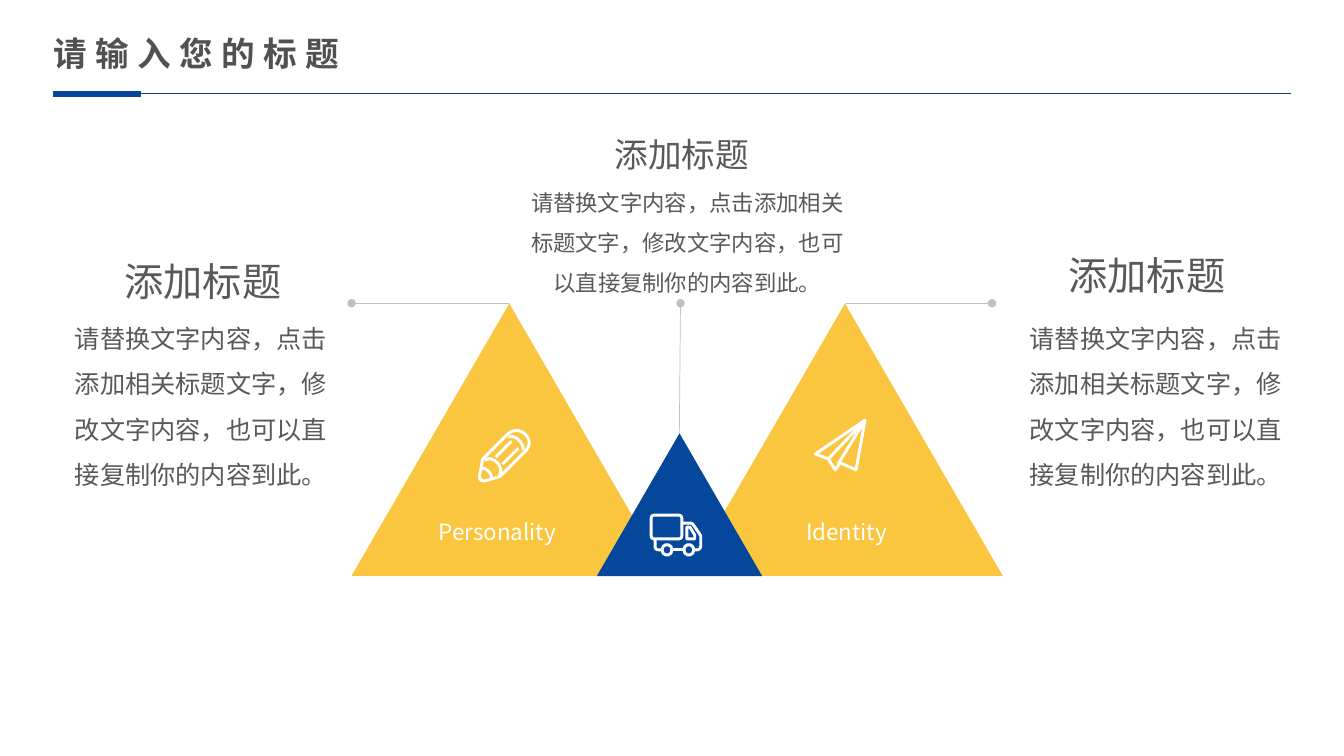
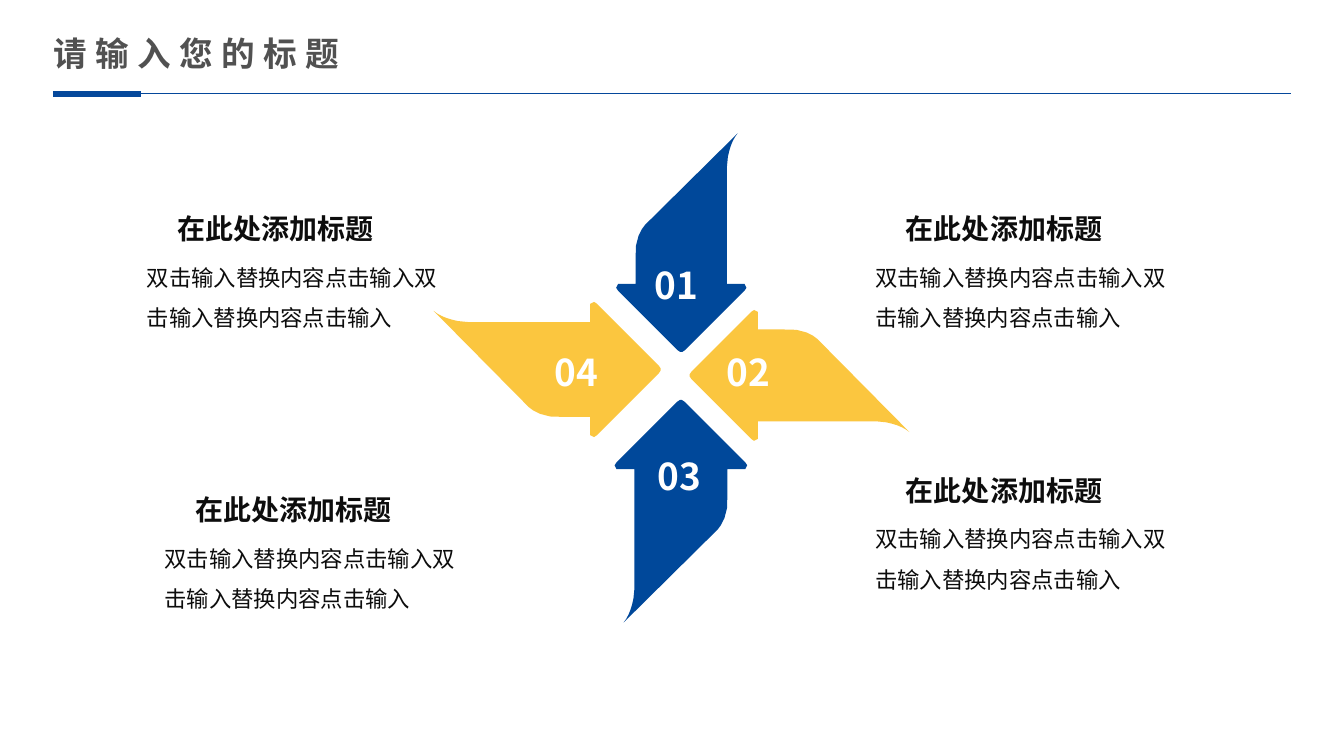
import lxml.etree
import pptx
import pptx.dml.color
import pptx.enum.shapes
import pptx.enum.text
import pptx.oxml.ns
import pptx.util

Cm = pptx.util.Cm
Pt = pptx.util.Pt
RGB = pptx.dml.color.RGBColor.from_string
qn = pptx.oxml.ns.qn
Align = pptx.enum.text.PP_ALIGN
Shape = pptx.enum.shapes.MSO_SHAPE

FONT = "Noto Sans CJK SC"
HUES = {
    "blue": "05489B",
    "deep": "00489A",
    "gold": "FBC63F",
    "white": "FFFFFF",
    "title": "515151",
    "text": "595959",
    "ink": "0D0D0D",
    "grey": "BFBFBF",
}


def write(slide, text, box, size=16, hue="text", bold=False, align=Align.LEFT,
          lead=None, wrap=True, track=0, shape=None):
    """Put text in the given shape, or in a new text box, at box in cm."""
    place = [Cm(v) for v in box]
    shape = shape or slide.shapes.add_textbox(*place)
    shape.left, shape.top, shape.width, shape.height = place
    frame = shape.text_frame
    frame.word_wrap = wrap
    frame.auto_size = pptx.enum.text.MSO_AUTO_SIZE.NONE
    frame.vertical_anchor = pptx.enum.text.MSO_ANCHOR.TOP
    para = frame.paragraphs[0]
    para.alignment = align
    if lead:
        para.line_spacing = lead
    run = para.add_run()
    run.text = text
    run.font.size = Pt(size)
    run.font.bold = bold
    run.font.name = FONT
    run.font.color.rgb = RGB(HUES[hue])
    props = run._r.get_or_add_rPr()
    lxml.etree.SubElement(props, qn("a:ea")).set("typeface", FONT)
    if track:
        props.set("spc", str(track * 100))


def draw(slide, parts, left, top, unit=1 / 40, turn=0, fill=None, line=None):
    """Draw one shape from (closed, steps) parts, turned by quarters.

    A step of two numbers is a point, one of six a cubic curve.
    """
    path = None
    for close, steps in parts:
        dots = []
        for step in steps:
            if len(step) == 2:
                dots.append(step)
                continue
            ends = [dots[-1], step[:2], step[2:4], step[4:]]
            for t in (0.2, 0.4, 0.6, 0.8, 1):
                s = 1 - t
                mix = [s ** 3, 3 * t * s * s, 3 * t * t * s, t ** 3]
                dots.append(tuple(sum(m * e[k] for m, e in zip(mix, ends))
                                  for k in (0, 1)))
        for _ in range(turn):
            dots = [(-y, x) for x, y in dots]
        dots = [(Cm(left + x * unit), Cm(top + y * unit)) for x, y in dots]
        if path:
            path.move_to(*dots[0])
        else:
            path = slide.shapes.build_freeform(*dots[0], scale=1.0)
        path.add_line_segments(dots[1:], close=close)
    shape = path.convert_to_shape()
    shape.shadow.inherit = False
    if fill:
        shape.fill.solid()
        shape.fill.fore_color.rgb = RGB(HUES[fill])
    else:
        shape.fill.background()
    if line:
        shape.line.color.rgb = RGB(HUES["white"])
        shape.line.width = Pt(line)
    else:
        shape.line.fill.background()


deck = pptx.Presentation()
deck.slide_width, deck.slide_height = Cm(33.87), Cm(19.05)
peaks, wheel = [deck.slides.add_slide(deck.slide_layouts[5]) for _ in range(2)]

# Titles, header rules and leader lines
rules = []
for slide in (peaks, wheel):
    write(slide, "请输入您的标题", (1.1, 0.71, 8.89, 1.27), size=24, hue="title",
          bold=True, track=6, shape=slide.shapes.title)
    rules += [
        (slide, 1.33, 2.36, 3.56, 2.36, "blue", 4.5),
        (slide, 3.56, 2.36, 32.54, 2.36, "blue", 0.5),
    ]
rules += [
    (peaks, 12.83, 7.64, 8.86, 7.64, "grey", 0.5),
    (peaks, 21.31, 7.64, 25, 7.64, "grey", 0.5),
    (peaks, 17.12, 10.92, 17.15, 7.64, "grey", 0.5),
]
for slide, x1, y1, x2, y2, hue, width in rules:
    rule = slide.shapes.add_connector(
        pptx.enum.shapes.MSO_CONNECTOR.STRAIGHT, Cm(x1), Cm(y1), Cm(x2), Cm(y2))
    rule.line.color.rgb = RGB(HUES[hue])
    rule.line.width = Pt(width)
    props = rule.element.spPr
    if hue == "grey":
        tail = lxml.etree.SubElement(props.find(qn("a:ln")), qn("a:tailEnd"))
        tail.set("type", "oval")
    lxml.etree.SubElement(props, qn("a:effectLst"))

# Slide 1: three peaks
for left, top, width, height, hue in [
    (8.86, 7.65, 7.95, 6.86, "gold"),
    (17.32, 7.65, 7.95, 6.86, "gold"),
    (15.04, 10.92, 4.17, 3.6, "blue"),
]:
    peak = peaks.shapes.add_shape(Shape.ISOSCELES_TRIANGLE, Cm(left), Cm(top),
                                  Cm(width), Cm(height))
    peak.shadow.inherit = False
    peak.fill.solid()
    peak.fill.fore_color.rgb = RGB(HUES[hue])
    peak.line.fill.background()

# Icons: one stroked shape each
pencil = [
    (True, [(5, 30), (31, 4), (36, 0, 43, 0, 48, 5), (53, 10, 53, 16, 49, 21),
            (24, 46), (21, 48), (7, 52), (3, 52, 1, 50, 2, 46)]),
    (False, [(31, 7), (39, 6, 46, 13, 46, 21)]),
    (False, [(7, 31), (14, 25, 28, 37, 22, 47)]),
    (False, [(18, 28), (34, 12)]),
    (False, [(25, 35), (41, 19)]),
    (False, [(4, 39), (9, 39, 14, 44, 14, 49)]),
]
plane = [
    (True, [(52, 2), (2, 36), (15, 41), (22, 52), (27, 45), (43, 52)]),
    (False, [(15, 41), (52, 2), (25, 46)]),
]
truck = [
    (False, [(33, 10), (42, 10), (44, 11), (51, 21), (52, 23), (52, 33),
             (52, 36, 50, 37, 48, 37), (45, 37)]),
    (False, [(35, 37), (23, 37)]),
    (False, [(13, 37), (10, 37), (7, 37, 6, 36, 6, 33), (6, 26)]),
    (True, [(6, 2), (29, 2), (32, 2, 33, 3, 33, 6), (33, 22),
            (33, 25, 32, 26, 29, 26), (6, 26), (3, 26, 2, 25, 2, 22), (2, 6),
            (2, 3, 3, 2, 6, 2)]),
    (True, [(38, 14), (41, 14), (46, 22), (46, 26), (38, 26)]),
]
truck += [
    (True, [(x - 5, 37), (x - 5, 30, x + 5, 30, x + 5, 37),
            (x + 5, 44, x - 5, 44, x - 5, 37)])
    for x in (18, 40)
]
for icon, left, top in [(pencil, 12.04, 10.82), (plane, 20.5, 10.54),
                        (truck, 16.36, 12.93)]:
    draw(peaks, icon, left, top, line=2.1)

for label, left, width in [("Personality", 10.73, 3.61), ("Identity", 20, 2.67)]:
    write(peaks, label, (left, 12.93, width, 0.94), hue="white",
          align=Align.CENTER, wrap=False)

NOTE = "请替换文字内容，点击添加相关标题文字，修改文字内容，也可以直接复制你的内容到此。"
for head, big, body, small, align in [
    ((2.88, 5.77, 4.47, 2.06), 28, (1.64, 7.64, 6.96, 4.88), 18, Align.LEFT),
    ((26.67, 5.61, 4.47, 2.06), 28, (25.27, 7.64, 7.28, 4.88), 18, Align.RIGHT),
    ((15.24, 2.74, 3.89, 1.8), 24, (13.03, 4.3, 8.59, 5.38), 16, Align.CENTER),
]:
    write(peaks, "添加标题", head, size=big, align=Align.CENTER, lead=1.5, wrap=False)
    write(peaks, NOTE, body, size=small, align=align, lead=1.5)

# Slide 2: one arrow outline, tip at the origin, turned four ways
SPAN = 225
arrow = [
    (-63, 65), (-2, 4), (0, 1), (0, -1), (-2, -4), (-63, -65),
    (-66, -67), (-70, -65), (-70, -47), (-191, -47), (-201, -48),
    (-211, -50, -219, -53, -225, -58),
    (-132, 36), (-132, 36, -121, 49, -96, 47), (-70, 47), (-70, 65), (-66, 67),
]
for turn, left, top, size, hue, label, x, y in [
    (0, 16.65, 9.31, 5.72, "gold", "04", 13.72, 8.68),
    (2, 17.38, 9.46, 5.54, "gold", "02", 18.06, 8.68),
    (1, 17.17, 8.87, 5.51, "deep", "01", 16.24, 6.48),
    (3, 17.16, 10.08, 5.61, "deep", "03", 16.32, 11.3),
]:
    draw(wheel, [(True, arrow)], left, top, unit=size / SPAN, turn=turn, fill=hue)
    write(wheel, label, (x, y, 1.63, 1.4), size=26.4, hue="white", bold=True,
          wrap=False)

for left, top in [(3.45, 5.21), (21.81, 5.21), (21.81, 11.8), (3.9, 12.29)]:
    write(wheel, " 在此处添加标题", (left + 0.61, top, 6.83, 1.12), size=20,
          hue="ink", bold=True)
    write(wheel, "双击输入替换内容点击输入双击输入替换内容点击输入",
          (left, top + 0.98, 7.98, 2.21), hue="ink", lead=1.5)

deck.save("out.pptx")
